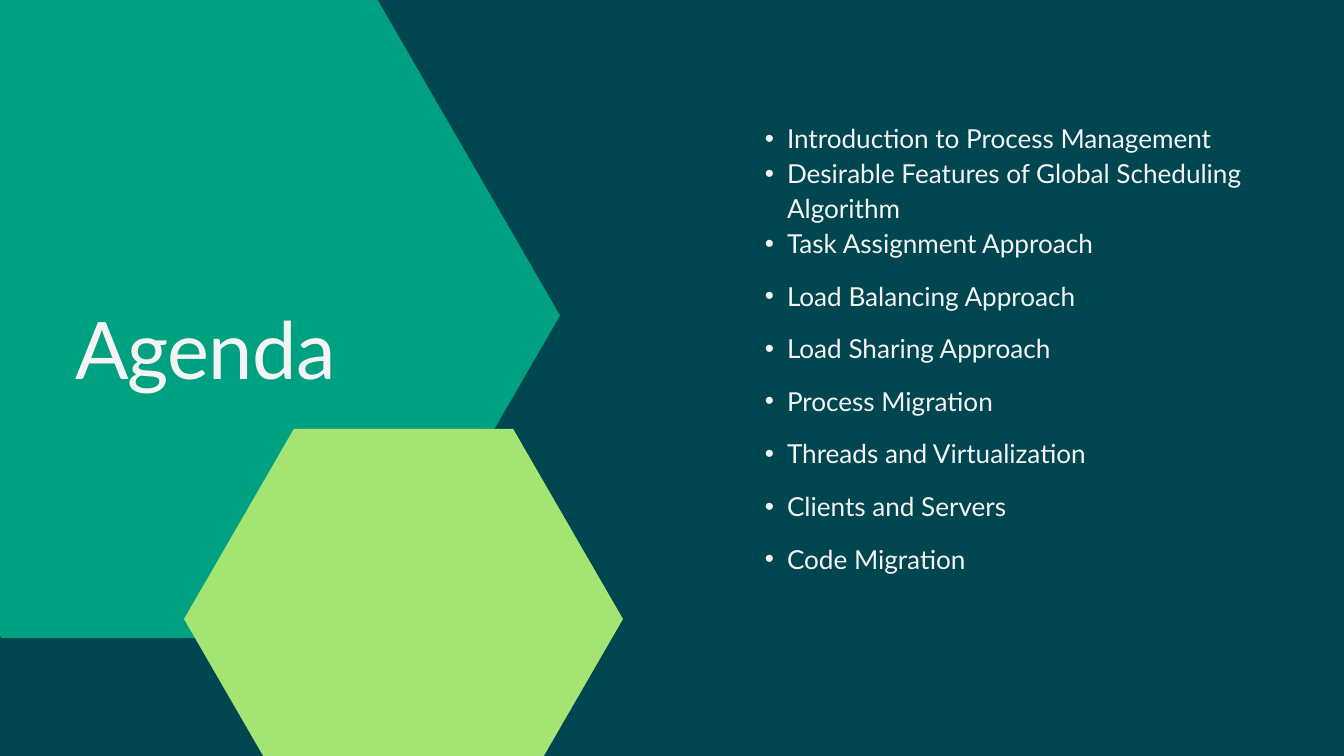
from lxml.etree import SubElement
from pptx import Presentation
from pptx.dml.color import RGBColor
from pptx.enum.shapes import MSO_SHAPE
from pptx.enum.text import MSO_ANCHOR, MSO_AUTO_SIZE, PP_ALIGN
from pptx.oxml.ns import qn
from pptx.util import Emu, Pt

# Content
TITLE = "Agenda"
TOPICS = [
    "Introduction to Process Management",
    "Desirable Features of Global Scheduling Algorithm",
    "Task Assignment Approach",
    "Load Balancing Approach",
    "Load Sharing Approach",
    "Process Migration",
    "Threads and Virtualization",
    "Clients and Servers",
    "Code Migration",
]
TIGHT_TOPICS = 3  # the opening topics follow each other without a gap

# Colours and font
DARK_TEAL = RGBColor(0x00, 0x46, 0x51)
GREEN = RGBColor(0x00, 0xA1, 0x81)
LIME = RGBColor(0xA4, 0xE4, 0x73)
OFF_WHITE = RGBColor(0xF4, 0xF4, 0xF4)
FONT = "Lato"

# Places in px: left, top, width, height
HEXAGONS = [((-185, -7, 745, 645), GREEN), ((184, 429, 439, 380), LIME)]
TITLE_BOX = (75, 300, 328, 95)
TOPICS_BOX = (743, 119, 526, 470)
TEXT_INDENT, BULLET_INDENT = 44, -22
HEXAGON_INSET = 0.289  # corner inset of a regular hexagon, relative to its height


def px(length):
    return Emu(round(length * 914400 / 67.2))


def place(shape, box):
    shape.left, shape.top, shape.width, shape.height = map(px, box)


def prepare_frame(placeholder, box):
    place(placeholder, box)
    frame = placeholder.text_frame
    frame.margin_left = frame.margin_top = frame.margin_right = frame.margin_bottom = 0
    frame.vertical_anchor = MSO_ANCHOR.TOP
    frame.auto_size = MSO_AUTO_SIZE.NONE
    frame.word_wrap = True
    return frame


def write(paragraph, text, *, size, line, before=0, tracking=0, bullet=False):
    if bullet:
        properties = paragraph._p.get_or_add_pPr()
        properties.set("marL", str(px(TEXT_INDENT)))
        properties.set("indent", str(px(BULLET_INDENT)))
        SubElement(properties, qn("a:buFont"), typeface="Arial")
        SubElement(properties, qn("a:buChar"), char="•")
    paragraph.alignment = PP_ALIGN.LEFT
    paragraph.line_spacing = Pt(line)
    paragraph.space_before = Pt(before)
    paragraph.space_after = Pt(0)
    run = paragraph.add_run()
    run.text = text
    run.font.name = FONT
    run.font.size = Pt(size)
    run.font.color.rgb = OFF_WHITE
    if tracking:
        run._r.get_or_add_rPr().set("spc", str(round(tracking * 100)))


def main():
    presentation = Presentation()
    presentation.slide_width, presentation.slide_height = px(1344), px(756)
    slide = presentation.slides.add_slide(presentation.slide_layouts[1])
    slide.background.fill.solid()
    slide.background.fill.fore_color.rgb = DARK_TEAL
    title, body = slide.placeholders

    # Hexagons, behind the text
    for box, colour in HEXAGONS:
        hexagon = slide.shapes.add_shape(MSO_SHAPE.HEXAGON, *map(px, box))
        hexagon.adjustments[0] = HEXAGON_INSET
        hexagon.shadow.inherit = False
        hexagon.fill.solid()
        hexagon.fill.fore_color.rgb = colour
        hexagon.line.fill.background()
        title._element.addprevious(hexagon._element)

    # Title
    frame = prepare_frame(title, TITLE_BOX)
    write(frame.paragraphs[0], TITLE, size=85, line=102, tracking=-0.8)

    # Topics
    frame = prepare_frame(body, TOPICS_BOX)
    for index, topic in enumerate(TOPICS):
        paragraph = frame.add_paragraph() if index else frame.paragraphs[0]
        gap = 0 if index < TIGHT_TOPICS else 18.8
        write(paragraph, topic, size=28, line=37.5, before=gap, bullet=True)

    presentation.save("out.pptx")


if __name__ == "__main__":
    main()
